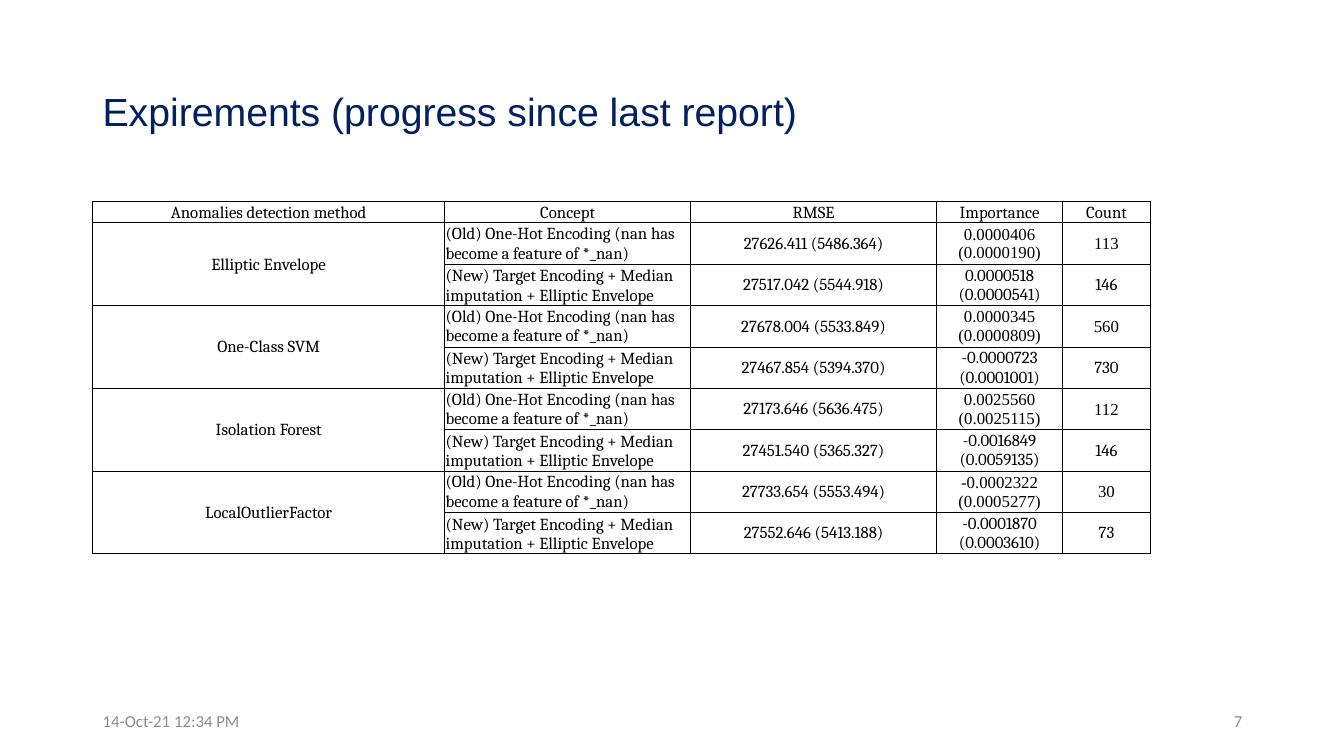
from lxml import etree
from pptx import Presentation
from pptx.dml.color import RGBColor
from pptx.enum.text import MSO_ANCHOR, PP_ALIGN
from pptx.oxml.ns import qn
from pptx.util import Inches, Pt

LEFT, CENTER, RIGHT = PP_ALIGN.LEFT, PP_ALIGN.CENTER, PP_ALIGN.RIGHT
MIDDLE, BOTTOM = MSO_ANCHOR.MIDDLE, MSO_ANCHOR.BOTTOM
SERIF, TIMES = "Cambria", "Times New Roman"
BLACK, GREY, NAVY = "000000", "8C8C8C", "002060"

TITLE = "Expirements (progress since last report)"
DATE, PAGE = "14-Oct-21 12:34 PM", "7"
HEADER = ["Anomalies detection method", "Concept", "RMSE", "Importance", "Count"]
OLD = "(Old) One-Hot Encoding (nan has become a feature of *_nan)"
NEW = "(New) Target Encoding + Median imputation + Elliptic Envelope"
RESULTS = {
    "Elliptic Envelope": [
        ("27626.411 (5486.364)", "0.0000406 (0.0000190)", "113"),
        ("27517.042 (5544.918)", "0.0000518 (0.0000541)", "146")],
    "One-Class SVM": [
        ("27678.004 (5533.849)", "0.0000345 (0.0000809)", "560"),
        ("27467.854 (5394.370)", "-0.0000723 (0.0001001)", "730")],
    "Isolation Forest": [
        ("27173.646 (5636.475)", "0.0025560 (0.0025115)", "112"),
        ("27451.540 (5365.327)", "-0.0016849 (0.0059135)", "146")],
    "LocalOutlierFactor": [
        ("27733.654 (5553.494)", "-0.0002322 (0.0005277)", "30"),
        ("27552.646 (5413.188)", "-0.0001870 (0.0003610)", "73")],
}
COL_WIDTHS = [3.49, 2.44, 2.44, 1.25, 0.87]
HEADER_HEIGHT, ROW_HEIGHT = 0.13, 0.4
MARGIN = 0.92


def rgb(color):
    """Turn a hex string into a colour."""
    return RGBColor.from_string(color)


def write(tf, text, size, font, color, align):
    """Write one run into the first paragraph and return the paragraph."""
    p = tf.paragraphs[0]
    p.alignment = align
    r = p.add_run()
    r.text = text
    r.font.size = Pt(size)
    r.font.name = font
    r.font.color.rgb = rgb(color)
    return p


def add_text(s, box, text, size, font, color, align=LEFT):
    """Add a vertically centred text box and return its paragraph."""
    tf = s.shapes.add_textbox(*(Inches(v) for v in box)).text_frame
    tf.word_wrap = True
    tf.vertical_anchor = MIDDLE
    return write(tf, text, size, font, color, align)


def add_borders(cell, color, width):
    """Draw a solid line on all four sides of a cell."""
    tc_pr = cell._tc.get_or_add_tcPr()
    for i, side in enumerate(("lnL", "lnR", "lnT", "lnB")):
        ln = etree.Element(qn("a:" + side), w=str(Pt(width)))
        fill = etree.SubElement(ln, qn("a:solidFill"))
        etree.SubElement(fill, qn("a:srgbClr"), val=color)
        tc_pr.insert(i, ln)


def fill_cell(cell, text, font=SERIF, align=CENTER, anchor=MIDDLE):
    """Write a table cell with narrow margins."""
    cell.margin_left = cell.margin_top = cell.margin_right = Inches(0.01)
    cell.margin_bottom = 0
    cell.vertical_anchor = anchor
    write(cell.text_frame, text, 12, font, BLACK, align)


def add_results(s):
    """Add the results table, two rows to each method."""
    n_rows = 1 + 2 * len(RESULTS)
    height = HEADER_HEIGHT + ROW_HEIGHT * (n_rows - 1)
    table = s.shapes.add_table(n_rows, len(HEADER), Inches(MARGIN), Inches(2),
                               Inches(sum(COL_WIDTHS)), Inches(height)).table
    table.first_row = table.horz_banding = False
    for col, width in zip(table.columns, COL_WIDTHS):
        col.width = Inches(width)
    for i, row in enumerate(table.rows):
        row.height = Inches(ROW_HEIGHT if i else HEADER_HEIGHT)
    for cell in table.iter_cells():
        cell.fill.background()
        add_borders(cell, BLACK, 0.5)
    for j, text in enumerate(HEADER):
        fill_cell(table.cell(0, j), text)
    for k, (method, pair) in enumerate(RESULTS.items()):
        top = 1 + 2 * k
        table.cell(top, 0).merge(table.cell(top + 1, 0))
        fill_cell(table.cell(top, 0), method)
        variants = ((OLD, MIDDLE, TIMES), (NEW, BOTTOM, SERIF))
        for i, ((concept, anchor, font), values) in enumerate(zip(variants, pair), top):
            rmse, importance, count = values
            fill_cell(table.cell(i, 1), concept, align=LEFT, anchor=anchor)
            fill_cell(table.cell(i, 2), rmse)
            fill_cell(table.cell(i, 3), importance, font)
            fill_cell(table.cell(i, 4), count, font)


prs = Presentation()
prs.slide_width, prs.slide_height = Inches(13.33), Inches(7.5)
s = prs.slides.add_slide(prs.slide_layouts[6])
title = add_text(s, (MARGIN, 0.4, 11.5, 1.45), TITLE, 28, "Arial", NAVY)
title.line_spacing = 0.9
add_text(s, (MARGIN, 6.95, 3, 0.4), DATE, 12, "Calibri", GREY)
add_text(s, (9.42, 6.95, 3, 0.4), PAGE, 12, "Calibri", GREY, RIGHT)
add_results(s)
prs.save("out.pptx")
